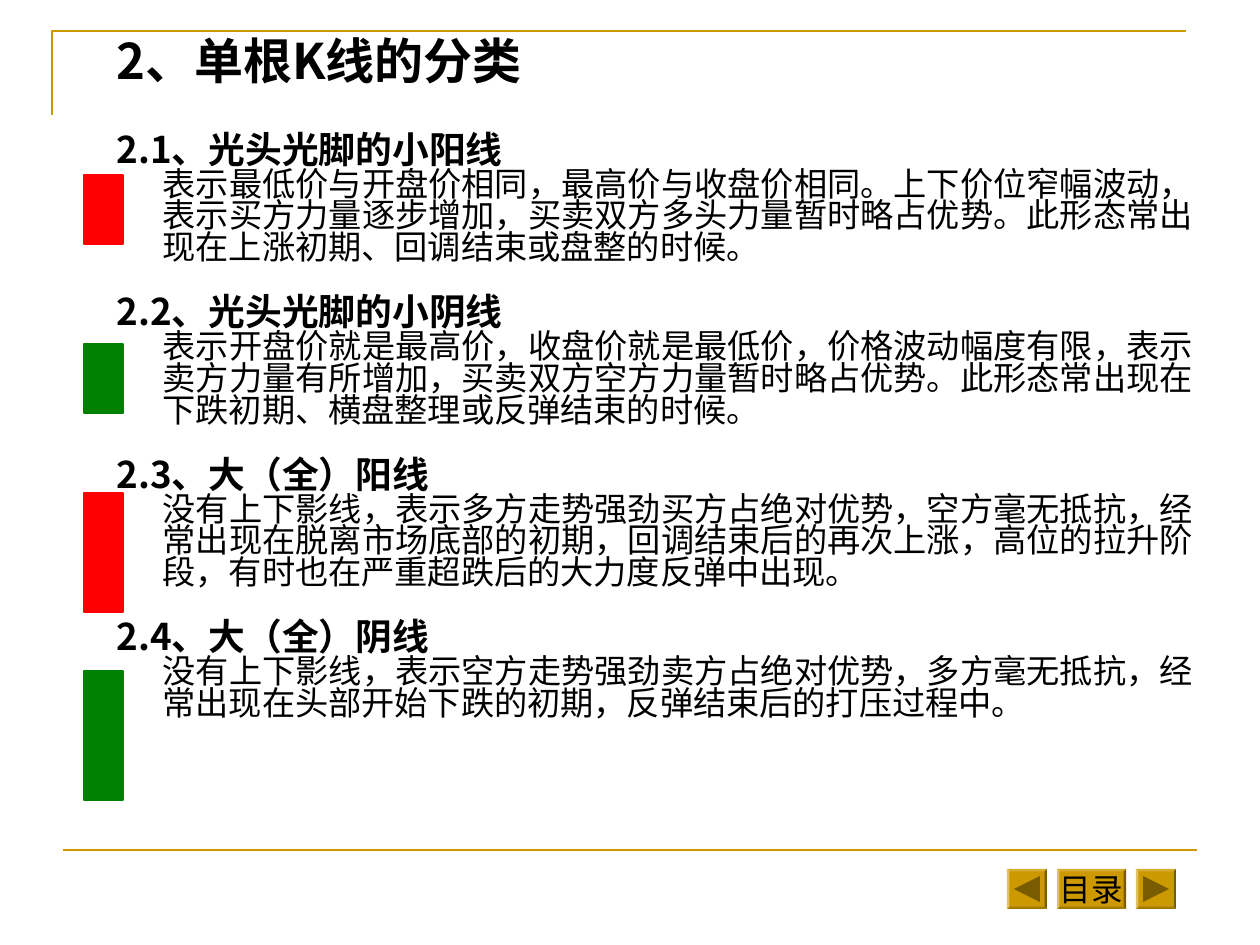
from dataclasses import dataclass

from lxml import etree
from pptx import Presentation
from pptx.dml.color import RGBColor
from pptx.enum.shapes import MSO_CONNECTOR, MSO_SHAPE
from pptx.enum.text import MSO_ANCHOR, MSO_AUTO_SIZE, PP_ALIGN
from pptx.oxml.ns import qn
from pptx.util import Pt

RECTANGLE = MSO_SHAPE.RECTANGLE
BEVEL = MSO_SHAPE.BEVEL
TRIANGLE = MSO_SHAPE.ISOSCELES_TRIANGLE
STRAIGHT = MSO_CONNECTOR.STRAIGHT
TOP, MIDDLE = MSO_ANCHOR.TOP, MSO_ANCHOR.MIDDLE
NO_AUTOFIT = MSO_AUTO_SIZE.NONE
LEFT, CENTER, JUSTIFY = PP_ALIGN.LEFT, PP_ALIGN.CENTER, PP_ALIGN.JUSTIFY

EMU_PER_PX = 914400 / 126


@dataclass(frozen=True)
class Theme:
    """Colours, fonts and type sizes of the deck."""

    gold: RGBColor = RGBColor(0xCC, 0x99, 0x00)
    arrow: RGBColor = RGBColor(0x7A, 0x5C, 0x00)
    rising: RGBColor = RGBColor(0xFF, 0x00, 0x00)
    falling: RGBColor = RGBColor(0x00, 0x80, 0x00)
    ink: RGBColor = RGBColor(0x00, 0x00, 0x00)
    text_font: str = "Noto Sans CJK SC"
    button_font: str = "Arial"
    title_size: int = 28
    heading_size: int = 21
    body_size: int = 19
    button_size: int = 18
    rule_width: float = 1.5
    bar_outline: float = 0.75
    line_spacing: float = 0.8
    section_gap: int = 18
    bevel_depth: float = 0.06


THEME = Theme()

TITLE = "2、单根K线的分类"
SECTIONS = [
    ("2.1、光头光脚的小阳线",
     "表示最低价与开盘价相同，最高价与收盘价相同。上下价位窄幅波动，表示买方力量逐步增加，"
     "买卖双方多头力量暂时略占优势。此形态常出现在上涨初期、回调结束或盘整的时候。"),
    ("2.2、光头光脚的小阴线",
     "表示开盘价就是最高价，收盘价就是最低价，价格波动幅度有限，表示卖方力量有所增加，"
     "买卖双方空方力量暂时略占优势。此形态常出现在下跌初期、横盘整理或反弹结束的时候。"),
    ("2.3、大（全）阳线",
     "没有上下影线，表示多方走势强劲买方占绝对优势，空方毫无抵抗，经常出现在脱离市场底部的初期，"
     "回调结束后的再次上涨，高位的拉升阶段，有时也在严重超跌后的大力度反弹中出现。"),
    ("2.4、大（全）阴线",
     "没有上下影线，表示空方走势强劲卖方占绝对优势，多方毫无抵抗，经常出现在头部开始下跌的初期，"
     "反弹结束后的打压过程中。"),
]
CANDLES = [
    (175, 69, THEME.rising),
    (344, 69, THEME.falling),
    (493, 119, THEME.rising),
    (671, 129, THEME.falling),
]


def px(length):
    """Turn px into EMU."""
    return round(length * EMU_PER_PX)


class SlideBuilder:
    """Draws themed elements on the current slide."""

    def __init__(self, slide, theme):
        self.slide = slide
        self.theme = theme

    def place(self, placeholder, left, top, width, height):
        """Move a placeholder and return its text frame."""
        placeholder.left, placeholder.top = px(left), px(top)
        placeholder.width, placeholder.height = px(width), px(height)
        frame = placeholder.text_frame
        frame.auto_size = NO_AUTOFIT
        frame.vertical_anchor = TOP
        frame.word_wrap = True
        return frame

    def style(self, paragraph, font_name, size, bold=False):
        """Format every run of a paragraph."""
        for run in paragraph.runs:
            font = run.font
            font.name, font.size, font.bold = font_name, Pt(size), bold
            font.color.rgb = self.theme.ink
            east_asian = etree.Element(qn("a:ea"), typeface=self.theme.text_font)
            font._element.find(qn("a:latin")).addnext(east_asian)

    def title(self, text, *box):
        """Fill the title placeholder."""
        frame = self.place(self.slide.shapes.title, *box)
        frame.text = text
        heading = frame.paragraphs[0]
        heading.alignment = LEFT
        self.style(heading, self.theme.text_font, self.theme.title_size, True)

    def body_line(self, paragraph, text, indent, gap, size, bold):
        """Write one unbulleted paragraph of the body."""
        paragraph.text = text
        properties = paragraph._p.get_or_add_pPr()
        properties.set("marL", str(px(indent)))
        properties.set("indent", "0")
        etree.SubElement(properties, qn("a:buNone"))
        paragraph.alignment = JUSTIFY
        paragraph.line_spacing = self.theme.line_spacing
        paragraph.space_before = Pt(gap)
        self.style(paragraph, self.theme.text_font, size, bold)

    def sections(self, sections, *box):
        """Fill the body placeholder with headings and descriptions."""
        frame = self.place(self.slide.placeholders[1], *box)
        for index, (heading, description) in enumerate(sections):
            first = index == 0
            heading_line = frame.paragraphs[0] if first else frame.add_paragraph()
            gap = 0 if first else self.theme.section_gap
            self.body_line(heading_line, heading, 0, gap, self.theme.heading_size, True)
            self.body_line(frame.add_paragraph(), description, 46, 0,
                           self.theme.body_size, False)

    def block(self, preset, left, top, width, height, color):
        """Add a flat filled preset shape."""
        block = self.slide.shapes.add_shape(
            preset, px(left), px(top), px(width), px(height))
        block.shadow.inherit = False
        block.fill.solid()
        block.fill.fore_color.rgb = color
        block.line.fill.background()
        return block

    def candle(self, top, height, color):
        """Add a candlestick body beside its section."""
        candle = self.block(RECTANGLE, 84, top, 39, height, color)
        candle.line.color.rgb = color
        candle.line.width = Pt(self.theme.bar_outline)

    def button(self, left, width):
        """Add a bevelled navigation button."""
        button = self.block(BEVEL, left, 869, width, 40, self.theme.gold)
        button.adjustments[0] = self.theme.bevel_depth
        return button

    def arrow_button(self, left, arrow_left, rotation):
        """Add a button that carries an arrow."""
        self.button(left, 40)
        arrow = self.block(TRIANGLE, arrow_left, 876, 26, 26, self.theme.arrow)
        arrow.rotation = rotation

    def label_button(self, left, width, label):
        """Add a button that carries a word."""
        frame = self.button(left, width).text_frame
        frame.word_wrap = False
        frame.vertical_anchor = MIDDLE
        frame.text = label
        frame.paragraphs[0].alignment = CENTER
        self.style(frame.paragraphs[0], self.theme.button_font, self.theme.button_size)

    def gold_line(self, line):
        """Give a line the rule colour and width."""
        line.color.rgb = self.theme.gold
        line.width = Pt(self.theme.rule_width)

    def corner(self, *points):
        """Add the open corner outline."""
        start, *rest = points
        builder = self.slide.shapes.build_freeform(*start, scale=EMU_PER_PX)
        builder.add_line_segments(rest, close=False)
        corner = builder.convert_to_shape()
        corner.shadow.inherit = False
        corner.fill.background()
        self.gold_line(corner.line)

    def rule(self, left, right, y):
        """Add a horizontal rule."""
        rule = self.slide.shapes.add_connector(
            STRAIGHT, px(left), px(y), px(right), px(y))
        self.gold_line(rule.line)
        etree.SubElement(rule._element.spPr, qn("a:effectLst"))


def main():
    """Build and save the slide."""
    deck = Presentation()
    deck.slide_width, deck.slide_height = px(1260), px(945)
    page = SlideBuilder(deck.slides.add_slide(deck.slide_layouts[1]), THEME)
    page.corner((52, 115), (52, 31), (1186, 31))
    page.rule(63, 1197, 850)
    page.label_button(1057, 69, "目录")
    page.arrow_button(1007, 1014, -90)
    page.arrow_button(1136, 1143, 90)
    page.title(TITLE, 104, 24, 1102, 84)
    page.sections(SECTIONS, 104, 129, 1102, 700)
    for candle in CANDLES:
        page.candle(*candle)
    deck.save("out.pptx")


if __name__ == "__main__":
    main()
